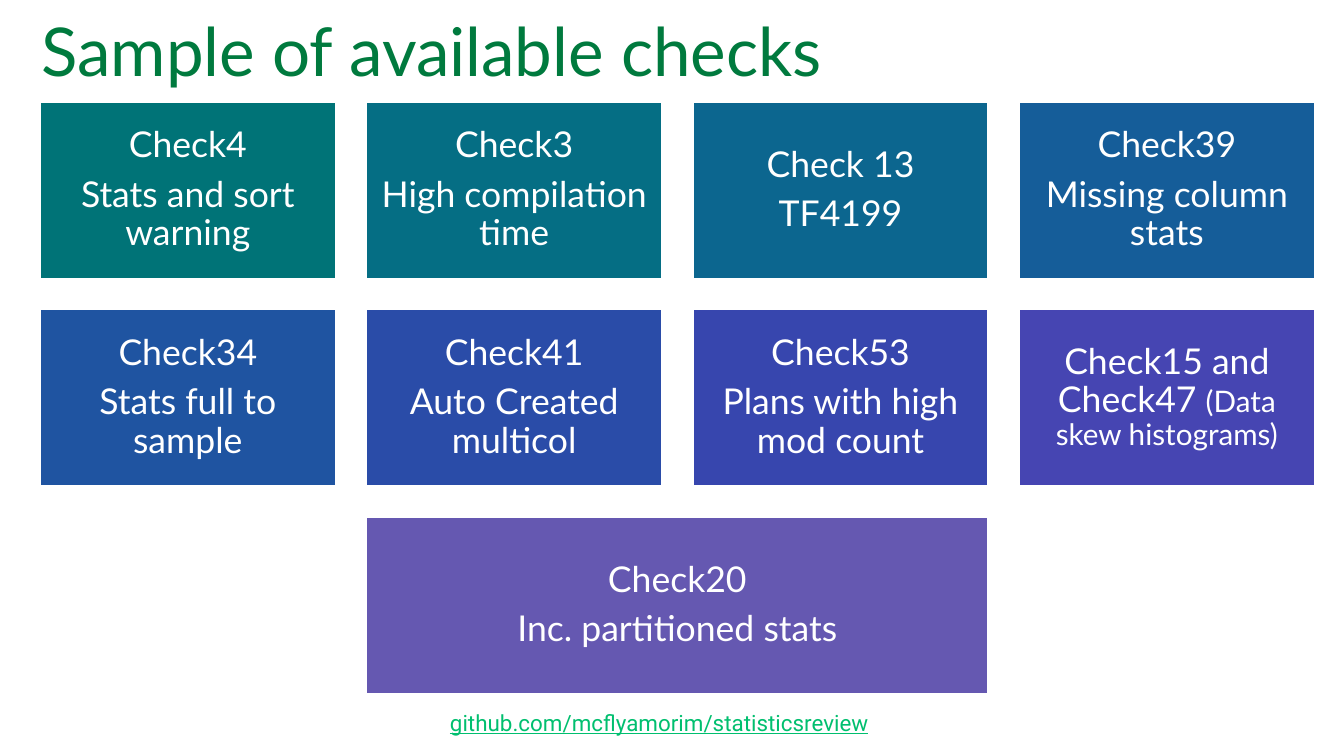
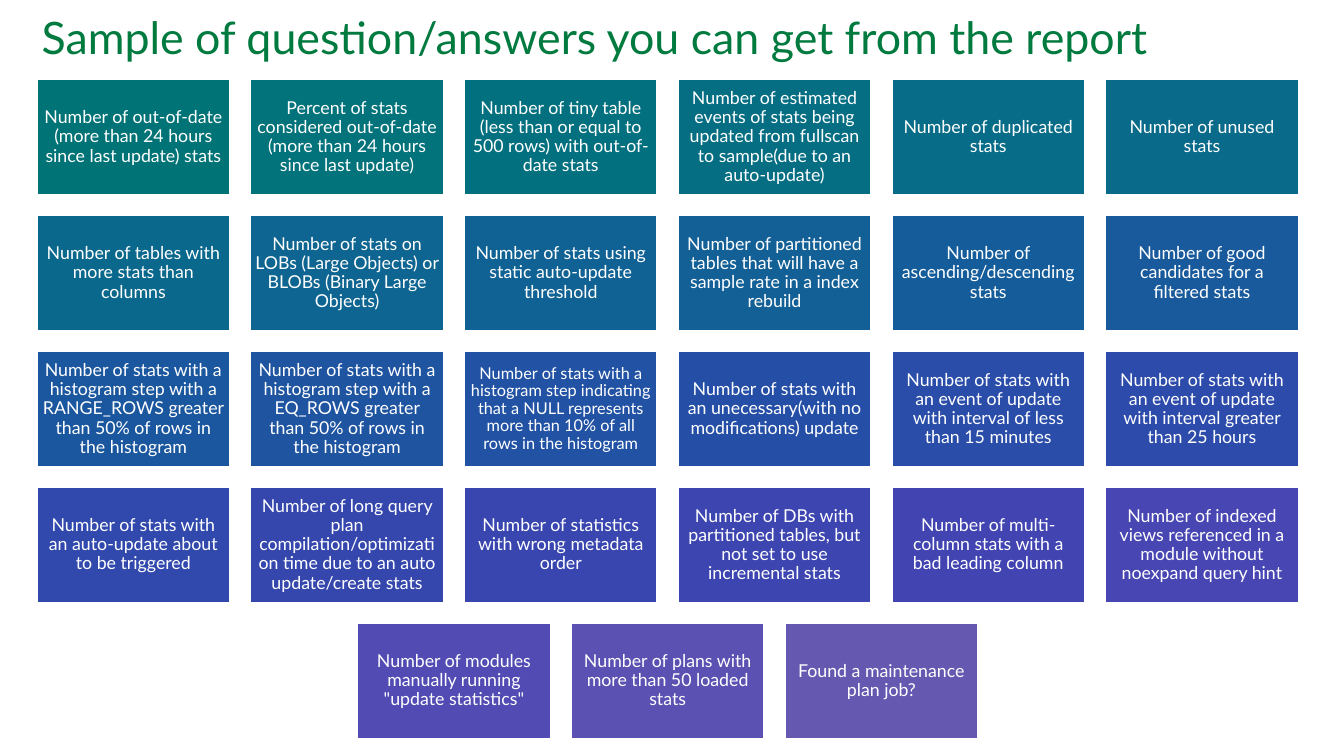
from colorsys import hls_to_rgb, rgb_to_hls
from dataclasses import dataclass

from pptx import Presentation
from pptx.dml.color import RGBColor
from pptx.enum.shapes import MSO_SHAPE
from pptx.enum.text import MSO_ANCHOR as ANCHOR, PP_ALIGN as ALIGN
from pptx.util import Inches, Pt

FONT = "Lato"
LINK_FONT = "Roboto"
WHITE = "FFFFFF"
TITLE_GREEN = "007A3E"
LINK_GREEN = "00BF6F"
TILE_FIRST = "007377"
TILE_LAST = "6558B1"
TILE_RATIO = 0.6
GAP_RATIO = 0.1


@dataclass
class Tile:
    paragraphs: list
    span: int = 1


def check(name, text, span=1):
    return Tile([[(name, 24)], [(text, 24)]], span)


def question(text, size=12):
    return Tile([[(text, size)]])


CHECKS = [
    [
        check("Check4", "Stats and sort warning"),
        check("Check3", "High compilation time"),
        check("Check 13", "TF4199"),
        check("Check39", "Missing column stats"),
    ],
    [
        check("Check34", "Stats full to sample"),
        check("Check41", "Auto Created multicol"),
        check("Check53", "Plans with high mod count"),
        Tile([[("Check15 and Check47 ", 24), ("(Data skew histograms)", 20)]]),
    ],
    [check("Check20", "Inc. partitioned stats", span=2)],
]

QUESTIONS = [
    [
        question("Number of out-of-date (more than 24 hours since last update) stats"),
        question("Percent of stats considered out-of-date (more than 24 hours since last update)"),
        question("Number of tiny table (less than or equal to 500 rows) with out-of-date stats"),
        question("Number of estimated events of stats being updated from fullscan "
                 "to sample(due to an auto-update)"),
        question("Number of duplicated stats"),
        question("Number of unused stats"),
    ],
    [
        question("Number of tables with more stats than columns"),
        question("Number of stats on LOBs (Large Objects) or BLOBs (Binary Large Objects)"),
        question("Number of stats using static auto-update threshold"),
        question("Number of partitioned tables that will have a sample rate in a index rebuild"),
        question("Number of ascending/descending stats"),
        question("Number of good candidates for a filtered stats"),
    ],
    [
        question("Number of stats with a histogram step with a RANGE_ROWS greater "
                 "than 50% of rows in the histogram"),
        question("Number of stats with a histogram step with a EQ_ROWS greater "
                 "than 50% of rows in the histogram"),
        question("Number of stats with a histogram step indicating that a NULL represents "
                 "more than 10% of all rows in the histogram", size=11),
        question("Number of stats with an unecessary(with no modifications) update"),
        question("Number of stats with an event of update with interval of less than 15 minutes"),
        question("Number of stats with an event of update with interval greater than 25 hours"),
    ],
    [
        question("Number of stats with an auto-update about to be triggered"),
        question("Number of long query plan compilation/optimization time "
                 "due to an auto update/create stats"),
        question("Number of statistics with wrong metadata order"),
        question("Number of DBs with partitioned tables, but not set to use incremental stats"),
        question("Number of multi-column stats with a bad leading column"),
        question("Number of indexed views referenced in a module without noexpand query hint"),
    ],
    [
        question('Number of modules manually running "update statistics"'),
        question("Number of plans with more than 50 loaded stats"),
        question("Found a maintenance plan job?"),
    ],
]


def rgb(value):
    return RGBColor.from_string(value)


def blend(t):
    first, last = (
        rgb_to_hls(*(channel / 255 for channel in rgb(value)))
        for value in (TILE_FIRST, TILE_LAST)
    )
    mixed = hls_to_rgb(*(a + (b - a) * t for a, b in zip(first, last)))
    return "".join(f"{round(channel * 255):02X}" for channel in mixed)


def add_run(p, text, size, color, font=FONT):
    r = p.add_run()
    r.text = text
    r.font.name = font
    r.font.size = Pt(size)
    r.font.color.rgb = rgb(color)
    return r


def set_frame(tf, margin):
    tf.word_wrap = True
    tf.vertical_anchor = ANCHOR.MIDDLE
    tf.margin_left = tf.margin_right = Inches(margin)
    tf.margin_top = tf.margin_bottom = Inches(margin)


def add_title(s, text, top, size):
    title = s.shapes.title
    title.left, title.top = Inches(0.39), Inches(top)
    title.width, title.height = Inches(11.81), Inches(0.79)
    set_frame(title.text_frame, 0)
    p = title.text_frame.paragraphs[0]
    p.alignment = ALIGN.LEFT
    add_run(p, text, size, TITLE_GREEN)


def add_tile(s, tile, left, top, width, height, color, margin):
    sp = s.shapes.add_shape(
        MSO_SHAPE.RECTANGLE, Inches(left), Inches(top), Inches(width), Inches(height)
    )
    sp.shadow.inherit = False
    sp.fill.solid()
    sp.fill.fore_color.rgb = rgb(color)
    sp.line.color.rgb = rgb(WHITE)
    sp.line.width = Pt(2)
    tf = sp.text_frame
    set_frame(tf, margin)
    for i, runs in enumerate(tile.paragraphs):
        p = tf.add_paragraph() if i else tf.paragraphs[0]
        p.alignment = ALIGN.CENTER
        p.line_spacing = 0.9
        p.space_after = Pt(7.4)
        for text, size in runs:
            add_run(p, text, size, WHITE)


def add_tile_grid(s, rows, left, top, width, margin):
    columns = len(rows[0])
    unit = width / (columns + GAP_RATIO * (columns - 1))
    gap, height = unit * GAP_RATIO, unit * TILE_RATIO
    last = sum(len(row) for row in rows) - 1
    index = 0
    for number, row in enumerate(rows):
        widths = [tile.span * (unit + gap) - gap for tile in row]
        x = left + (width - sum(widths) - gap * (len(row) - 1)) / 2
        y = top + number * (height + gap)
        for tile, tile_width in zip(row, widths):
            add_tile(s, tile, x, y, tile_width, height, blend(index / last), margin)
            x += tile_width + gap
            index += 1


def add_link_text(s, text, left, top, width, height):
    tb = s.shapes.add_textbox(Inches(left), Inches(top), Inches(width), Inches(height))
    tf = tb.text_frame
    tf.word_wrap = True
    r = add_run(tf.paragraphs[0], text, 15.1, LINK_GREEN, LINK_FONT)
    r.font.underline = True


def new_slide(prs):
    return prs.slides.add_slide(prs.slide_layouts.get_by_name("Title Only"))


def checks_slide(prs):
    s = new_slide(prs)
    add_title(s, "Sample of available checks", 0.07, 45.4)
    add_tile_grid(s, CHECKS, 0.37, 0.95, 11.96, 0.1)
    add_link_text(s, "github.com/mcflyamorim/statisticsreview", 4.12, 6.6, 4.35, 0.36)


def questions_slide(prs):
    s = new_slide(prs)
    add_title(s, "Sample of question/answers you can get from the report", -0.05, 30.2)
    add_tile_grid(s, QUESTIONS, 0.34, 0.74, 11.84, 0.05)


def main():
    prs = Presentation()
    prs.slide_width, prs.slide_height = Inches(12.6), Inches(7.09)
    checks_slide(prs)
    questions_slide(prs)
    prs.save("out.pptx")


if __name__ == "__main__":
    main()
